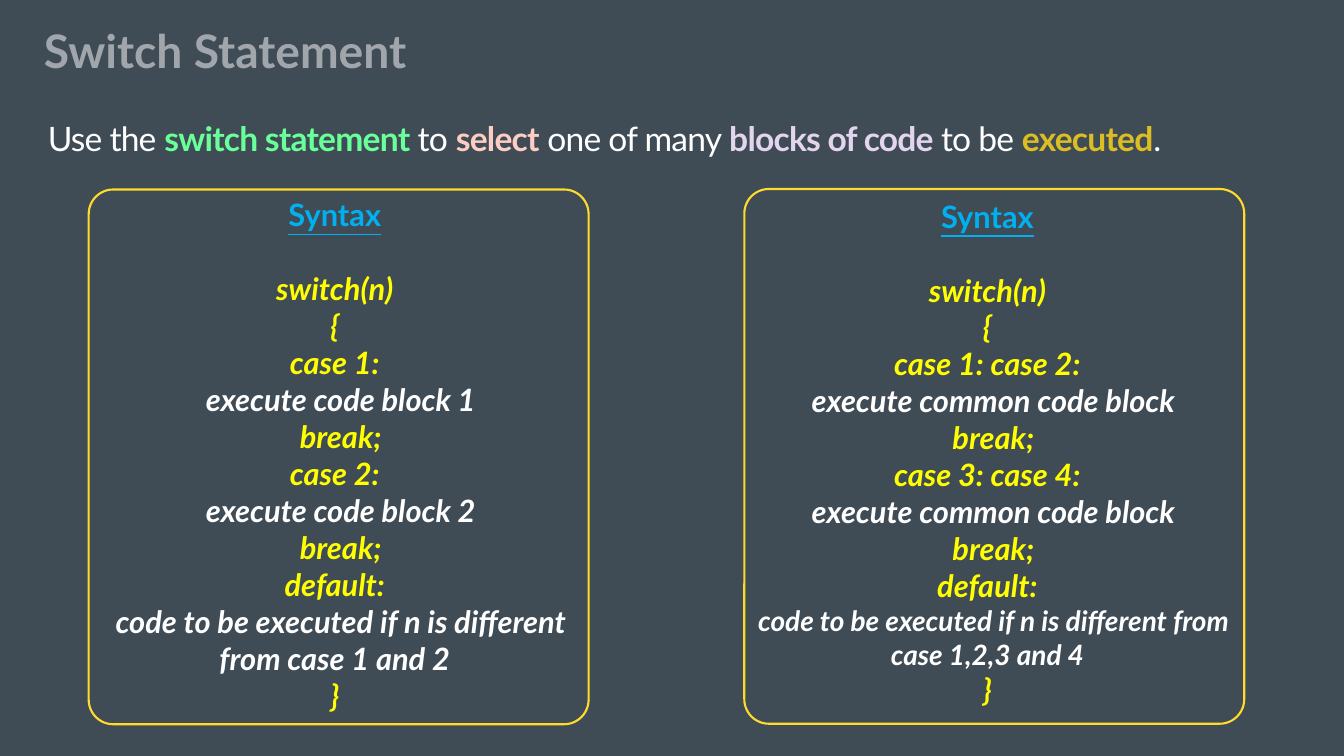
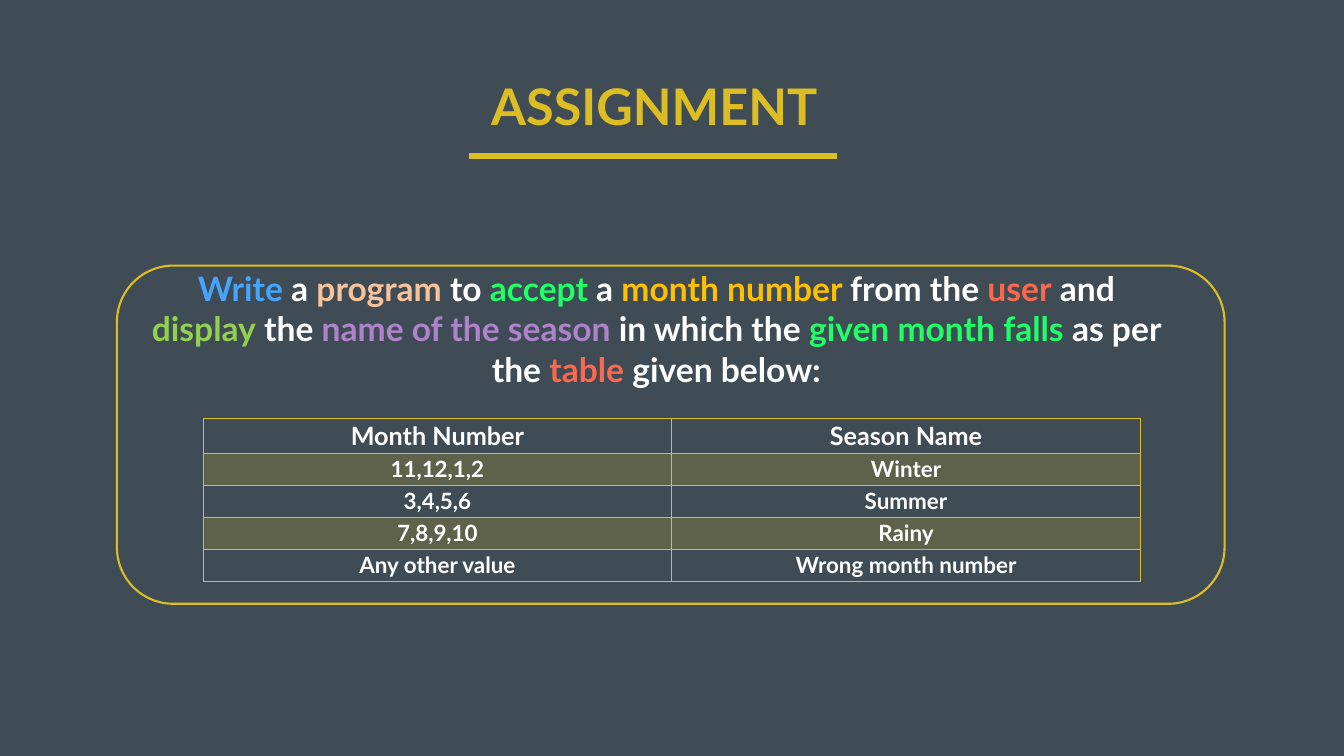
"""Builds two slides on the switch statement: its syntax and an assignment."""
from dataclasses import dataclass
from typing import NamedTuple

from lxml.etree import SubElement
from pptx import Presentation
from pptx.dml.color import RGBColor
from pptx.enum.shapes import MSO_CONNECTOR, MSO_SHAPE
from pptx.enum.text import MSO_ANCHOR, PP_ALIGN
from pptx.oxml.ns import qn
from pptx.util import Inches, Pt


@dataclass(frozen=True)
class Theme:
    font: str = "Lato"
    background: str = "404C55"
    white: str = "FFFFFF"
    grey: str = "A1A6AC"
    gold: str = "DCBD23"
    frame: str = "FFDB2C"
    keyword: str = "FFFF00"
    heading: str = "00B0F0"
    mint: str = "69FF99"
    blush: str = "FDCDC4"
    lilac: str = "E4D5EE"
    blue: str = "45A4FC"
    peach: str = "F8C39A"
    green: str = "1FFF66"
    amber: str = "FFC000"
    coral: str = "FA694E"
    lime: str = "92D050"
    purple: str = "AF82CC"
    banner: int = 72
    title: int = 66
    body: int = 48
    code: int = 44
    note: int = 40
    table_head: int = 36
    table_body: int = 32
    frame_width: int = 3
    border: int = 1
    head_border: int = 2


T = Theme()


class Box(NamedTuple):
    left: float
    top: float
    width: float
    height: float

    def emu(self) -> list:
        return [Inches(v) for v in self]


class Span(NamedTuple):
    text: str
    color: str = T.white
    bold: bool = True


class CodeLine(NamedTuple):
    text: str
    color: str = T.keyword
    indented: bool = True
    size: int = T.code


@dataclass(frozen=True)
class SyntaxPanel:
    frame: Box
    text: Box
    lines: list[CodeLine]


def keyword(text: str) -> CodeLine:
    return CodeLine(text, indented=False)


def action(text: str, size: int = T.code) -> CodeLine:
    return CodeLine(text, T.white, size=size)


BREAK = CodeLine("break;")

PANELS = [
    SyntaxPanel(Box(1.76, 3.76, 9.92, 10.61), Box(1.56, 3.76, 10.17, 10.52), [
        keyword("switch(n)"), keyword("{"),
        keyword("case 1:"), action("execute code block 1"), BREAK,
        keyword("case 2:"), action("execute code block 2"), BREAK,
        keyword("default:"),
        action("code to be executed if n is different from case 1 and 2"),
        keyword("}"),
    ]),
    SyntaxPanel(Box(14.77, 3.75, 9.92, 10.61), Box(14.51, 3.75, 10.17, 10.46), [
        keyword("switch(n)"), keyword("{"),
        keyword("case 1: case 2:"), action("execute common code block"), BREAK,
        keyword("case 3: case 4:"), action("execute common code block"), BREAK,
        keyword("default:"),
        action("code to be executed if n is different from case 1,2,3 and 4", T.note),
        keyword("}"),
    ]),
]

INTRO = [
    Span("Use the ", bold=False), Span("switch statement ", T.mint),
    Span("to ", bold=False), Span("select", T.blush),
    Span(" one of many ", bold=False), Span("blocks of code ", T.lilac),
    Span("to be ", bold=False), Span("executed", T.gold), Span(".", bold=False),
]

TASK = [
    Span("Write", T.blue), Span(" a "), Span("program", T.peach), Span(" to "),
    Span("accept", T.green), Span(" a "), Span("month number ", T.amber),
    Span("from the "), Span("user", T.coral), Span(" and "),
    Span("display", T.lime), Span(" the "), Span("name of the season ", T.purple),
    Span("in which the "), Span("given month falls ", T.green),
    Span("as per the "), Span("table", T.coral), Span(" given below:"),
]

SEASONS = [
    ("Month Number", "Season Name"),
    ("11,12,1,2", "Winter"),
    ("3,4,5,6", "Summer"),
    ("7,8,9,10", "Rainy"),
    ("Any other value", "Wrong month number"),
]


def rgb(color: str) -> RGBColor:
    return RGBColor.from_string(color)


def new_slide(prs):
    s = prs.slides.add_slide(prs.slide_layouts[6])
    s.background.fill.solid()
    s.background.fill.fore_color.rgb = rgb(T.background)
    return s


def write(p, text: str, *, size: int, color: str = T.white, bold: bool = True,
          italic: bool = False, underline: bool = False, tracking: float = 0) -> None:
    r = p.add_run()
    r.text = text
    f = r.font
    f.name, f.size, f.bold = T.font, Pt(size), bold
    f.italic, f.underline = italic, underline
    f.color.rgb = rgb(color)
    if tracking:
        f._element.set("spc", str(round(tracking * 100)))


def write_spans(p, spans: list[Span], size: int, tracking: float = 0) -> None:
    for span in spans:
        write(p, span.text, size=size, color=span.color, bold=span.bold, tracking=tracking)


def add_text_frame(s, box: Box, *, middle: bool = False, wrap: bool = True,
                   inset: float | None = None):
    tf = s.shapes.add_textbox(*box.emu()).text_frame
    tf.word_wrap = wrap
    tf.vertical_anchor = MSO_ANCHOR.MIDDLE if middle else MSO_ANCHOR.TOP
    if inset is not None:
        tf.margin_left = tf.margin_right = Inches(inset)
        tf.margin_top = tf.margin_bottom = Inches(inset)
    return tf


def add_frame(s, box: Box, color: str, corner: float | None = None) -> None:
    sp = s.shapes.add_shape(MSO_SHAPE.ROUNDED_RECTANGLE, *box.emu())
    sp.shadow.inherit = False
    sp.fill.background()
    sp.line.color.rgb = rgb(color)
    sp.line.width = Pt(T.frame_width)
    if corner is not None:
        sp.adjustments[0] = corner


def add_rule(s, left: float, right: float, y: float, width: int) -> None:
    line = s.shapes.add_connector(MSO_CONNECTOR.STRAIGHT, Inches(left), Inches(y),
                                  Inches(right), Inches(y))
    line.line.color.rgb = rgb(T.gold)
    line.line.width = Pt(width)
    SubElement(line._element.spPr, qn("a:effectLst"))


def add_panel(s, panel: SyntaxPanel) -> None:
    add_frame(s, panel.frame, T.frame, corner=0.049)
    tf = add_text_frame(s, panel.text, middle=True, inset=0.08)
    p = tf.paragraphs[0]
    p.alignment = PP_ALIGN.CENTER
    p.space_after = Pt(T.code * 1.2)
    write(p, "Syntax", size=T.code, color=T.heading, underline=True)
    for line in panel.lines:
        p = tf.add_paragraph()
        p.alignment = PP_ALIGN.CENTER
        if line.indented:
            p._p.get_or_add_pPr().set("indent", str(Inches(0.24)))
        write(p, line.text, size=line.size, color=line.color, italic=True)


def set_borders(cell, bottom: int) -> None:
    tc_pr = cell._tc.get_or_add_tcPr()
    for side in "LRTB":
        width = bottom if side == "B" else T.border
        ln = SubElement(tc_pr, qn(f"a:ln{side}"), w=str(Pt(width)))
        SubElement(SubElement(ln, qn("a:solidFill")), qn("a:srgbClr"), val=T.gold)


def set_fill(cell, banded: bool) -> None:
    if not banded:
        cell.fill.background()
        return
    cell.fill.solid()
    cell.fill.fore_color.rgb = rgb(T.gold)
    color = cell._tc.tcPr.find(qn("a:solidFill")).find(qn("a:srgbClr"))
    SubElement(color, qn("a:alpha"), val="20000")


def add_season_table(s, box: Box) -> None:
    table = s.shapes.add_table(len(SEASONS), 2, *box.emu()).table
    table.first_row = table.horz_banding = False
    for column in table.columns:
        column.width = Inches(box.width / 2)
    for i, row in enumerate(SEASONS):
        head = i == 0
        table.rows[i].height = Inches(0.7 if head else 0.63)
        for j, text in enumerate(row):
            cell = table.cell(i, j)
            set_borders(cell, T.head_border if head else T.border)
            set_fill(cell, banded=i % 2 == 1)
            p = cell.text_frame.paragraphs[0]
            p.alignment = PP_ALIGN.CENTER
            write(p, text, size=T.table_head if head else T.table_body)


def build_syntax_slide(prs) -> None:
    s = new_slide(prs)
    tf = add_text_frame(s, Box(0.87, 2.25, 25.8, 0.97), middle=True, inset=0.08)
    write_spans(tf.paragraphs[0], INTRO, T.body, tracking=-1.1)
    tf = add_text_frame(s, Box(0.87, 0.66, 21.96, 0.89), middle=True, inset=0)
    p = tf.paragraphs[0]
    p.line_spacing = 0.8
    write(p, "Switch Statement", size=T.title, color=T.grey)
    for panel in PANELS:
        add_panel(s, panel)


def build_assignment_slide(prs) -> None:
    s = new_slide(prs)
    tf = add_text_frame(s, Box(9.65, 1.44, 6.74, 1.31), wrap=False)
    write(tf.paragraphs[0], "ASSIGNMENT", size=T.banner, color=T.gold)
    add_rule(s, 9.31, 16.61, 3.1, width=8)
    tf = add_text_frame(s, Box(2.78, 5.27, 20.49, 3.33))
    p = tf.paragraphs[0]
    p.alignment = PP_ALIGN.CENTER
    write_spans(p, TASK, T.body)
    add_frame(s, Box(2.32, 5.27, 21.98, 6.71), T.gold)
    add_season_table(s, Box(4.03, 8.29, 18.6, 3.23))


def main() -> None:
    prs = Presentation()
    prs.slide_width, prs.slide_height = Inches(26.67), Inches(15)
    build_syntax_slide(prs)
    build_assignment_slide(prs)
    prs.save("out.pptx")


if __name__ == "__main__":
    main()
